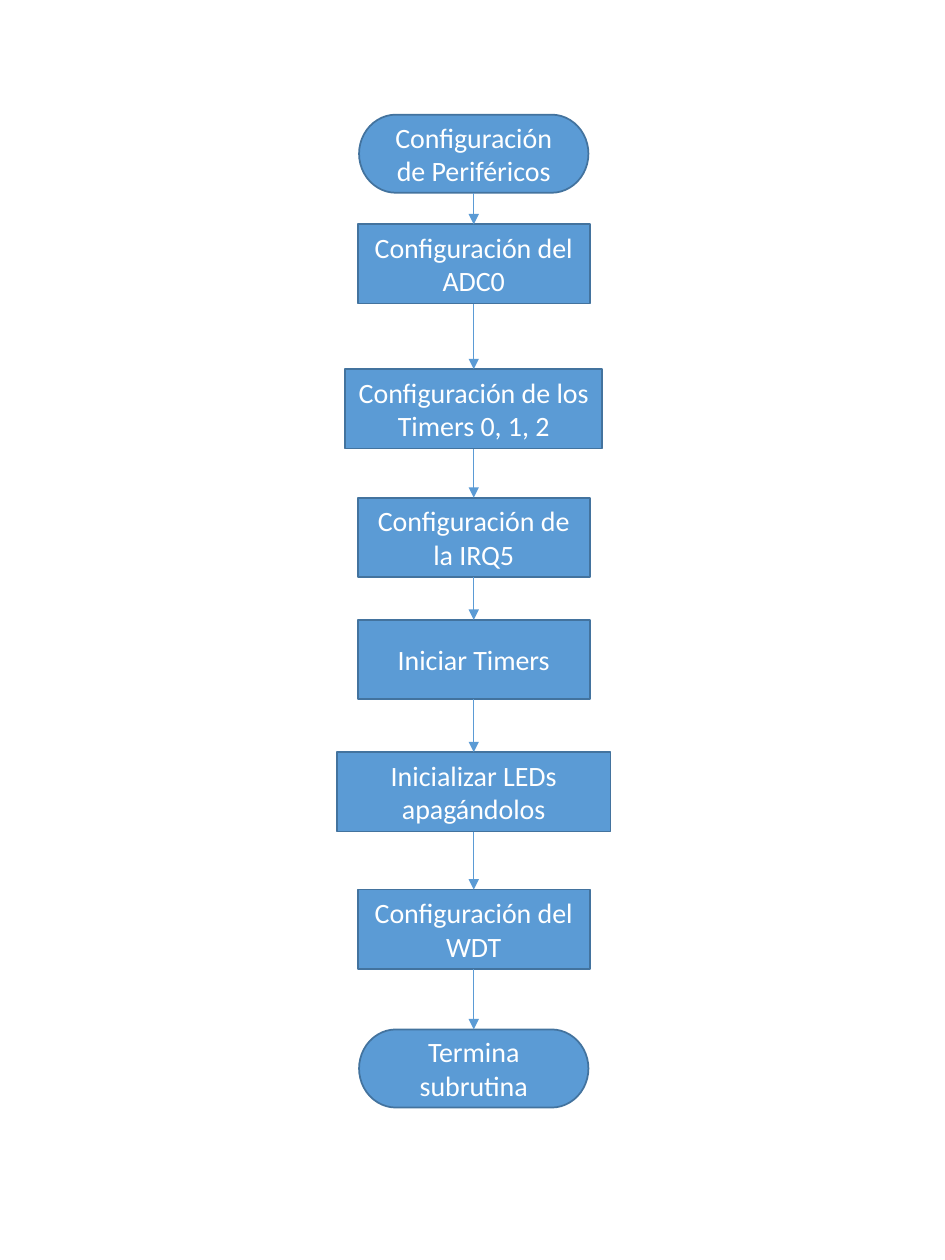
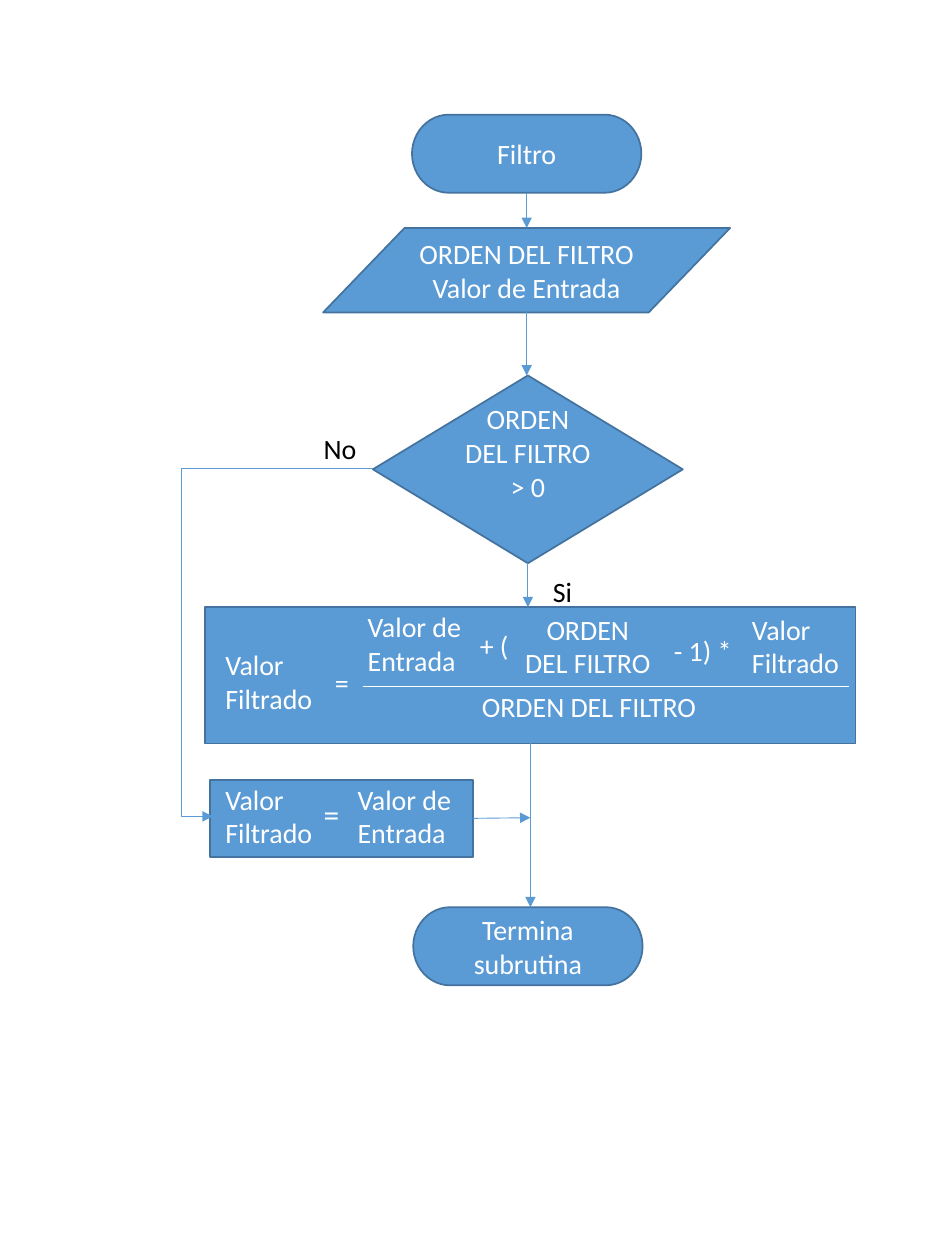
from lxml.etree import SubElement
from pptx import Presentation
from pptx.dml.color import RGBColor
from pptx.enum.shapes import MSO_CONNECTOR, MSO_SHAPE
from pptx.enum.text import MSO_ANCHOR, MSO_AUTO_SIZE, PP_ALIGN
from pptx.oxml.ns import qn
from pptx.util import Inches, Pt

COLUMNS, ROWS = 75, 100
BLUE, BORDER, WHITE, BLACK = "5B9BD5", "43739E", "FFFFFF", "000000"
TERMINAL = MSO_SHAPE.FLOWCHART_TERMINATOR
PROCESS = MSO_SHAPE.FLOWCHART_PROCESS
TOP, LEFT, BOTTOM, RIGHT = range(4)


def grid(units):
    """Turn grid columns or rows, ten to the inch, into a length."""
    return Inches(units / 10)


def color(hex_code):
    """Turn a hex string into a colour."""
    return RGBColor.from_string(hex_code)


def write(frame, lines, ink, align, size=16):
    """Write each line as a paragraph with a single run."""
    for number, line in enumerate(lines):
        paragraph = frame.add_paragraph() if number else frame.paragraphs[0]
        paragraph.alignment = align
        run = paragraph.add_run()
        run.text = line
        run.font.name = "Calibri"
        run.font.size = Pt(size)
        run.font.color.rgb = color(ink)


def add_step(slide, kind, center, top, width, height, *lines):
    """Add a flowchart symbol centred on a column."""
    step = slide.shapes.add_shape(
        kind, grid(center - width / 2), grid(top), grid(width), grid(height))
    step.shadow.inherit = False
    step.fill.solid()
    step.fill.fore_color.rgb = color(BLUE)
    step.line.color.rgb = color(BORDER)
    step.line.width = Pt(1)
    step.text_frame.word_wrap = True
    step.text_frame.vertical_anchor = MSO_ANCHOR.MIDDLE
    write(step.text_frame, lines, WHITE, PP_ALIGN.CENTER)
    return step


def add_label(slide, left, top, width, height, *lines,
              ink=WHITE, align=PP_ALIGN.LEFT, size=16):
    """Add an unwrapped label or term of a formula."""
    label = slide.shapes.add_textbox(
        grid(left), grid(top), grid(width), grid(height))
    label.text_frame.word_wrap = False
    label.text_frame.auto_size = MSO_AUTO_SIZE.SHAPE_TO_FIT_TEXT
    write(label.text_frame, lines, ink, align, size)


def add_line(slide, start, end, ink=BLUE, arrow=True,
             kind=MSO_CONNECTOR.STRAIGHT):
    """Add a thin line between two grid points, with an optional arrowhead."""
    line = slide.shapes.add_connector(
        kind, *(grid(units) for units in (*start, *end)))
    line.line.color.rgb = color(ink)
    line.line.width = Pt(0.5)
    properties = line._element.spPr
    if arrow:
        SubElement(properties.find(qn("a:ln")), qn("a:tailEnd"), type="triangle")
    SubElement(properties, qn("a:effectLst"))
    return line


def add_detour(slide, start, end, reach):
    """Add an elbow arrow whose bend lies at the column reach."""
    detour = add_line(slide, start, end, kind=MSO_CONNECTOR.ELBOW)
    geometry = detour._element.spPr.find(qn("a:prstGeom"))
    adjustments = geometry.find(qn("a:avLst"))
    if adjustments is None:
        adjustments = SubElement(geometry, qn("a:avLst"))
    bend = round(100000 * (start[0] - reach) / (start[0] - end[0]))
    SubElement(adjustments, qn("a:gd"), name="adj1", fmla=f"val {bend}")


def build_peripherals(slide):
    """Draw the peripheral configuration as one column of joined steps."""
    axis = 37.6
    steps = [
        add_step(slide, kind, axis, top, width, height, text)
        for kind, top, width, height, text in (
            (TERMINAL, 9.1, 18.2, 6.2, "Configuración de Periféricos"),
            (PROCESS, 17.8, 18.4, 6.3, "Configuración del ADC0"),
            (PROCESS, 29.3, 20.4, 6.3, "Configuración de los Timers 0, 1, 2"),
            (PROCESS, 39.5, 18.4, 6.3, "Configuración de la IRQ5"),
            (PROCESS, 49.2, 18.4, 6.3, "Iniciar Timers"),
            (PROCESS, 59.7, 21.7, 6.3, "Inicializar LEDs apagándolos"),
            (PROCESS, 70.6, 18.4, 6.3, "Configuración del WDT"),
            (TERMINAL, 81.7, 18.2, 6.2, "Termina subrutina"),
        )
    ]
    for before, after in zip(steps, steps[1:]):
        arrow = add_line(slide, (axis, 0), (axis, 0))
        arrow.begin_connect(before, BOTTOM)
        arrow.end_connect(after, TOP)


def add_average(slide):
    """Write the formula of the filtered value as a fraction."""
    add_label(slide, 16.9, 50.9, 9, 6.4, "Valor", "Filtrado")
    add_label(slide, 25.6, 52.3, 3.1, 3.7, "=")
    add_label(slide, 28.2, 47.9, 10.1, 6.4, "Valor de", "Entrada")
    add_label(slide, 37.1, 49.4, 4.3, 3.7, "+ (")
    add_label(slide, 40.6, 48.1, 12.1, 6.4, "ORDEN", "DEL FILTRO",
              align=PP_ALIGN.CENTER)
    add_label(slide, 52.5, 49.8, 7.2, 3.7, "- 1) *")
    add_label(slide, 58.7, 48.1, 9, 6.4, "Valor", "Filtrado")
    add_line(slide, (28.8, 54.5), (67.4, 54.5), WHITE, arrow=False)
    add_label(slide, 37.1, 54.2, 19.3, 3.7, "ORDEN DEL FILTRO",
              align=PP_ALIGN.CENTER)


def add_passthrough(slide):
    """Write the formula used when the filter has no order."""
    add_label(slide, 16.9, 61.6, 9, 6.4, "Valor", "Filtrado")
    add_label(slide, 24.7, 62.6, 3.3, 4, "=", size=18)
    add_label(slide, 27.4, 61.6, 10.1, 6.4, "Valor de", "Entrada")


def build_filter(slide):
    """Draw the filter flow with its decision and two formulas."""
    entry_axis, test_axis, exit_axis = 41.8, 41.9, 42.1
    start = add_step(slide, TERMINAL, entry_axis, 9.1, 18.2, 6.2, "Filtro")
    add_step(slide, MSO_SHAPE.FLOWCHART_DATA, entry_axis, 18.1, 32.3, 6.7,
             "ORDEN DEL FILTRO", "Valor de Entrada")
    test = add_step(slide, MSO_SHAPE.FLOWCHART_DECISION, test_axis, 29.8,
                    24.6, 14.9, "ORDEN DEL FILTRO", "> 0")
    test.text_frame.margin_bottom = grid(3.2)
    average = add_step(slide, PROCESS, exit_axis, 48.2, 51.6, 10.8)
    passthrough = add_step(slide, PROCESS, 27.1, 61.9, 20.9, 6.1)
    add_step(slide, TERMINAL, test_axis, 72, 18.2, 6.2, "Termina subrutina")

    add_line(slide, (entry_axis, 15.3),
             (entry_axis, 18.1)).begin_connect(start, BOTTOM)
    add_line(slide, (entry_axis, 24.8), (entry_axis, 29.8))
    add_line(slide, (test_axis, 44.7),
             (test_axis, 48.2)).begin_connect(test, BOTTOM)
    add_line(slide, (exit_axis, 59),
             (exit_axis, 72)).begin_connect(average, BOTTOM)
    add_line(slide, (37.5, 64.9),
             (exit_axis, 64.9)).begin_connect(passthrough, RIGHT)
    add_detour(slide, (29.6, 37.2), (16.9, 64.8), 14.4)

    add_label(slide, 42.9, 45.1, 3.6, 3.7, "Si", ink=BLACK)
    add_label(slide, 24.7, 33.8, 4.7, 3.7, "No", ink=BLACK)
    add_average(slide)
    add_passthrough(slide)


def main():
    """Build both flowcharts and save them."""
    deck = Presentation()
    deck.slide_width, deck.slide_height = grid(COLUMNS), grid(ROWS)
    blank = deck.slide_layouts[6]
    for build in (build_peripherals, build_filter):
        build(deck.slides.add_slide(blank))
    deck.save("out.pptx")


if __name__ == "__main__":
    main()
